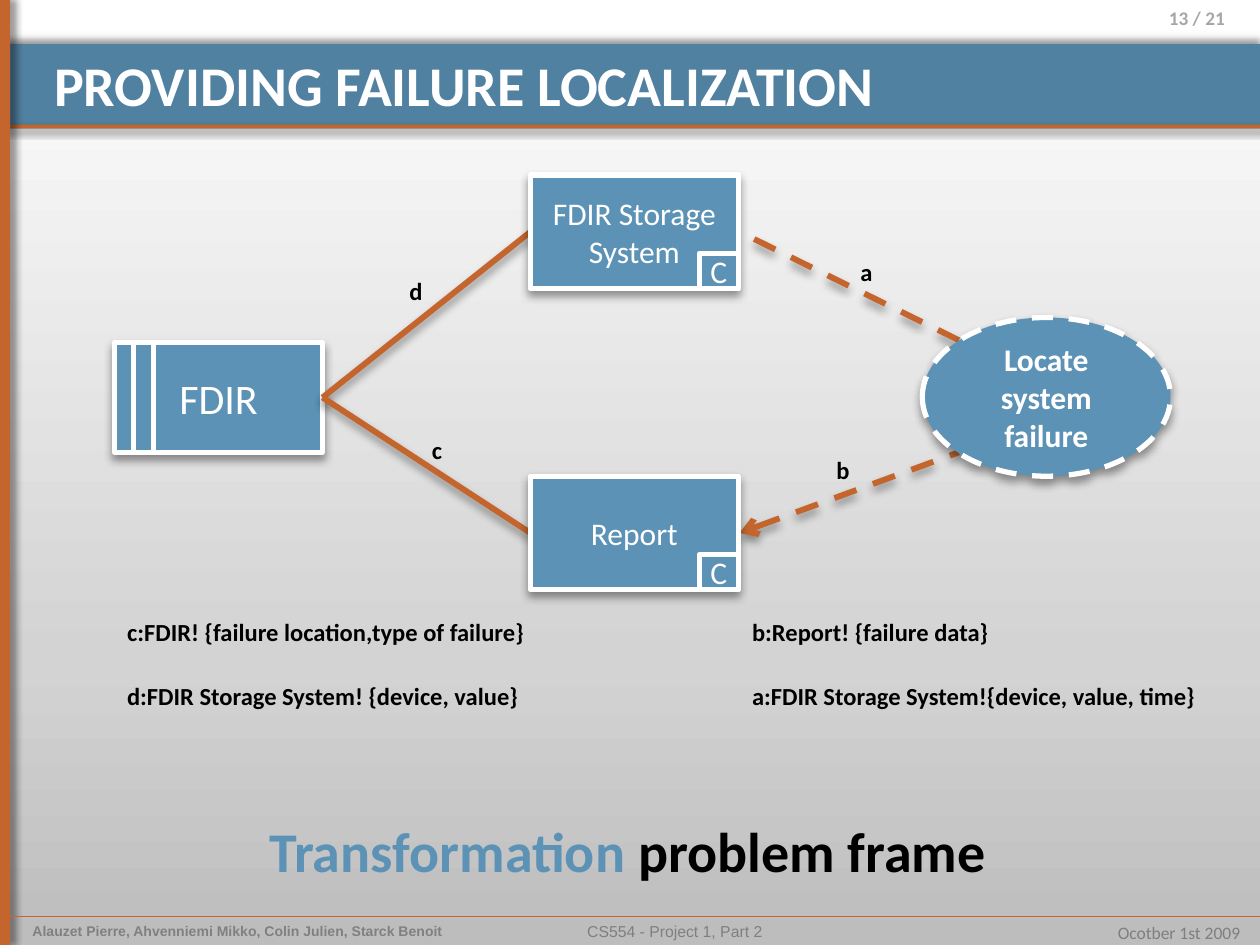
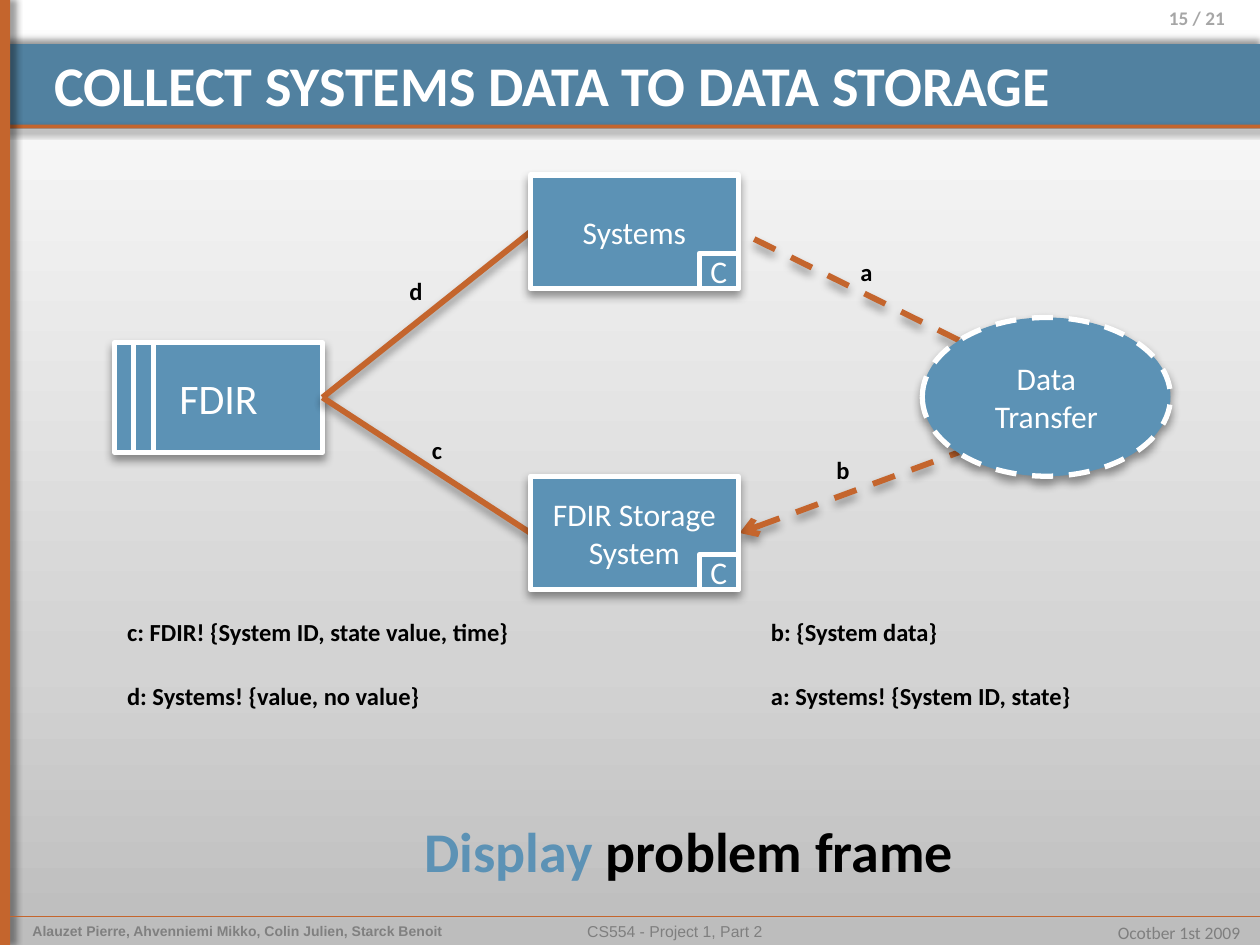
from dataclasses import dataclass
from lxml.etree import SubElement
from pptx import Presentation
from pptx.dml.color import RGBColor
from pptx.enum.dml import MSO_LINE
from pptx.enum.shapes import MSO_CONNECTOR, MSO_SHAPE
from pptx.enum.text import MSO_ANCHOR, PP_ALIGN
from pptx.oxml.ns import qn
from pptx.util import Inches, Pt


# Theme
@dataclass(frozen=True)
class Theme:
    blue: str = "5C92B5"
    band: str = "5181A0"
    rust: str = "C4652D"
    white: str = "FFFFFF"
    black: str = "000000"
    grey: str = "7F7F7F"
    pale: str = "A6A6A6"
    sans: str = "Calibri"
    plain: str = "Arial"
    head: int = 32
    main: int = 24
    node: int = 18
    note: int = 14
    page: int = 11
    date: int = 10
    foot: int = 9
    team: int = 8
    edge: float = 3
    link: float = 3.35
    hair: float = 0.25


T = Theme()
GLOW = (5.2, 3, 90)  # shadow blur, distance, angle
FADE = [(0, "BDBDBD"), (30, "D3D3D3"), (100, "FFFFFF")]
LEFT, CENTRE, RIGHT = PP_ALIGN.LEFT, PP_ALIGN.CENTER, PP_ALIGN.RIGHT

# Content
TEAM = "Alauzet Pierre, Ahvenniemi Mikko, Colin Julien, Starck Benoit"
COURSE = "CS554 - Project 1, Part 2"
DATE = "Ocotber 1st 2009"
SLIDES = [
    {
        "page": "13 / 21",
        "title": "PROVIDING FAILURE LOCALIZATION",
        "nodes": ["FDIR Storage System", "Report"],
        "goal": "Locate system failure",
        "bold": True,
        "notes": [
            (0.91, ["c:FDIR! {failure location,type of failure}",
                    "d:FDIR Storage System! {device, value}"]),
            (5.87, ["b:Report! {failure data}",
                    "a:FDIR Storage System!{device, value, time}"]),
        ],
        "frame": (2.04, "Transformation "),
    },
    {
        "page": "15 / 21",
        "title": "COLLECT SYSTEMS DATA TO DATA STORAGE",
        "nodes": ["Systems", "FDIR Storage\nSystem"],
        "goal": "Data Transfer",
        "bold": False,
        "notes": [
            (0.91, ["c: FDIR! {System ID, state value, time}",
                    "d: Systems! {value, no value}"]),
            (6.02, ["b: {System data}",
                    "a: Systems! {System ID, state}"]),
        ],
        "frame": (3.27, "Display "),
    },
]
TAGS = [("b", 6.54, 3.56), ("a", 6.73, 1.99), ("c", 3.33, 3.4), ("d", 3.15, 2.14)]

# Diagram places: left, top, width, height
MAIN = (0.91, 2.72, 1.65, 0.87)
GOAL = (7.32, 2.52, 1.97, 1.26)
NODE_X, NODE_W, NODE_H = 4.21, 1.65, 0.9
NODE_TOPS = (1.39, 3.78)
MARK_W, MARK_H = 0.31, 0.28
HUB = (MAIN[0] + MAIN[2], MAIN[1] + MAIN[3] / 2)


def tint(code):
    return RGBColor.from_string(code)


def write(shape, text, size=T.note, color=T.black, font=T.sans, bold=False,
          align=LEFT, anchor=MSO_ANCHOR.TOP, pad=0.1):
    """Fill a shape with text: a string, or a list of (words, colour) runs."""
    frame = shape.text_frame
    frame.word_wrap = True
    frame.vertical_anchor = anchor
    frame.margin_left = frame.margin_right = Inches(pad)
    frame.margin_top = frame.margin_bottom = Inches(pad / 2)
    lines = [[(line, color)] for line in text.split("\n")] if isinstance(text, str) else [text]
    for i, runs in enumerate(lines):
        para = frame.add_paragraph() if i else frame.paragraphs[0]
        para.alignment = align
        for words, hue in runs:
            run = para.add_run()
            run.text = words
            run.font.size, run.font.name, run.font.bold = Pt(size), font, bold
            run.font.color.rgb = tint(hue)


def shade(shape, glow):
    """Give a shape one outer shadow, or none."""
    box = SubElement(shape._element.spPr, qn("a:effectLst"))
    if glow:
        blur, dist, turn = glow
        cast = SubElement(box, qn("a:outerShdw"), blurRad=str(Pt(blur)),
                          dist=str(Pt(dist)), dir=str(turn * 60000), rotWithShape="0")
        hue = SubElement(cast, qn("a:srgbClr"), val=T.black)
        SubElement(hue, qn("a:alpha"), val="40000")


def label(slide, spot, text, **form):
    write(slide.shapes.add_textbox(*map(Inches, spot)), text, **form)


def block(slide, spot, fill, kind=MSO_SHAPE.RECTANGLE, edge=None, dash=False, glow=None):
    shape = slide.shapes.add_shape(kind, *map(Inches, spot))
    shape.fill.solid()
    shape.fill.fore_color.rgb = tint(fill)
    if edge:
        shape.line.color.rgb = tint(edge)
        shape.line.width = Pt(T.edge)
    else:
        shape.line.fill.background()
    if dash:
        shape.line.dash_style = MSO_LINE.DASH
    shade(shape, glow)
    return shape


def link(slide, start, end, color=T.rust, width=T.link, dash=False, arrow=False, glow=GLOW):
    line = slide.shapes.add_connector(MSO_CONNECTOR.STRAIGHT, *map(Inches, (*start, *end)))
    line.line.color.rgb = tint(color)
    line.line.width = Pt(width)
    if dash:
        line.line.dash_style = MSO_LINE.DASH
    if arrow:
        SubElement(line.line._get_or_add_ln(), qn("a:headEnd"), type="arrow")
    shade(line, glow)


def node(slide, spot, text, kind=MSO_SHAPE.RECTANGLE, dash=False, glow=GLOW, **form):
    shape = block(slide, spot, T.blue, kind, T.white, dash, glow)
    form = {"size": T.node, **form}
    write(shape, text, color=T.white, align=CENTRE, anchor=MSO_ANCHOR.MIDDLE, **form)


def backdrop(master):
    """Set the vertical fade behind all slides."""
    master.background.fill.gradient()
    grad = master._element.find(".//" + qn("a:gradFill"))
    for child in list(grad):
        grad.remove(child)
    stops = SubElement(grad, qn("a:gsLst"))
    for place, code in FADE:
        stop = SubElement(stops, qn("a:gs"), pos=str(place * 1000))
        SubElement(stop, qn("a:srgbClr"), val=code)
    SubElement(grad, qn("a:lin"), ang=str(270 * 60000), scaled="0")


def dress(slide, title, page):
    """Draw bands, footer, page number and title."""
    block(slide, (0, 0.35, 10, 0.67), T.band, glow=(4, 3, 270))
    block(slide, (0, 0.99, 10, 0.03), T.rust, glow=(4, 3, 45))
    block(slide, (0, 0, 0.08, 7.5), T.rust, glow=(4, 3, 0))
    link(slide, (0.08, 7.27), (10, 7.27), width=T.hair, glow=(4, 3, 45))
    label(slide, (0.16, 7.27, 3.67, 0.23), TEAM, size=T.team, color="808080",
          font=T.plain, bold=True)
    label(slide, (2.27, 7.27, 6.17, 0.23), COURSE, size=T.foot, color=T.grey,
          font=T.plain, align=CENTRE)
    label(slide, (8.44, 7.27, 1.5, 0.27), DATE, size=T.date, color=T.grey, align=RIGHT)
    label(slide, (8.83, 0, 0.99, 0.39), page, size=T.page, color=T.pale,
          bold=True, align=RIGHT)
    head = slide.shapes.title
    head.left, head.top, head.width, head.height = map(Inches, (0.33, 0.35, 9.28, 0.58))
    write(head, title, size=T.head, color=T.white, bold=True)
    slide.shapes._spTree.append(head._element)  # bring in front of the band


def draw(slide, data):
    """Draw the problem diagram."""
    right = NODE_X + NODE_W
    mids = [top + NODE_H / 2 for top in NODE_TOPS]
    link(slide, (7.61, 2.7), (right + 0.01, mids[0]), dash=True)
    node(slide, MAIN, "FDIR", size=T.main)
    for x in (1.06, 1.22):
        link(slide, (x, MAIN[1]), (x, MAIN[1] + MAIN[3]), T.white, T.edge, glow=None)
    link(slide, (right + 0.01, mids[1]), (7.61, 3.59), dash=True, arrow=True)
    node(slide, GOAL, data["goal"], MSO_SHAPE.OVAL, dash=True, bold=data["bold"])
    for mid in mids:
        link(slide, HUB, (NODE_X, mid))
    for top, text in zip(NODE_TOPS, data["nodes"]):
        node(slide, (NODE_X, top, NODE_W, NODE_H), text)
        mark = (right - MARK_W, top + NODE_H - MARK_H, MARK_W, MARK_H)
        node(slide, mark, "C", glow=None, pad=0)
    for text, x, y in TAGS:
        label(slide, (x, y, 0.35, 0.34), text, bold=True)


def explain(slide, data):
    """Write the notes under the diagram and the frame name."""
    for x, notes in data["notes"]:
        for row, text in enumerate(notes):
            label(slide, (x, 4.85 + 0.51 * row, 3.95, 0.34), text, bold=True)
    x, name = data["frame"]
    label(slide, (x, 6.43, 6.2, 0.64), [(name, T.blue), ("problem frame", T.black)],
          size=T.head, bold=True)


def main():
    deck = Presentation()
    deck.slide_width, deck.slide_height = Inches(10), Inches(7.5)
    backdrop(deck.slide_master)
    for data in SLIDES:
        slide = deck.slides.add_slide(deck.slide_layouts[5])
        dress(slide, data["title"], data["page"])
        draw(slide, data)
        explain(slide, data)
    deck.save("out.pptx")


if __name__ == "__main__":
    main()
